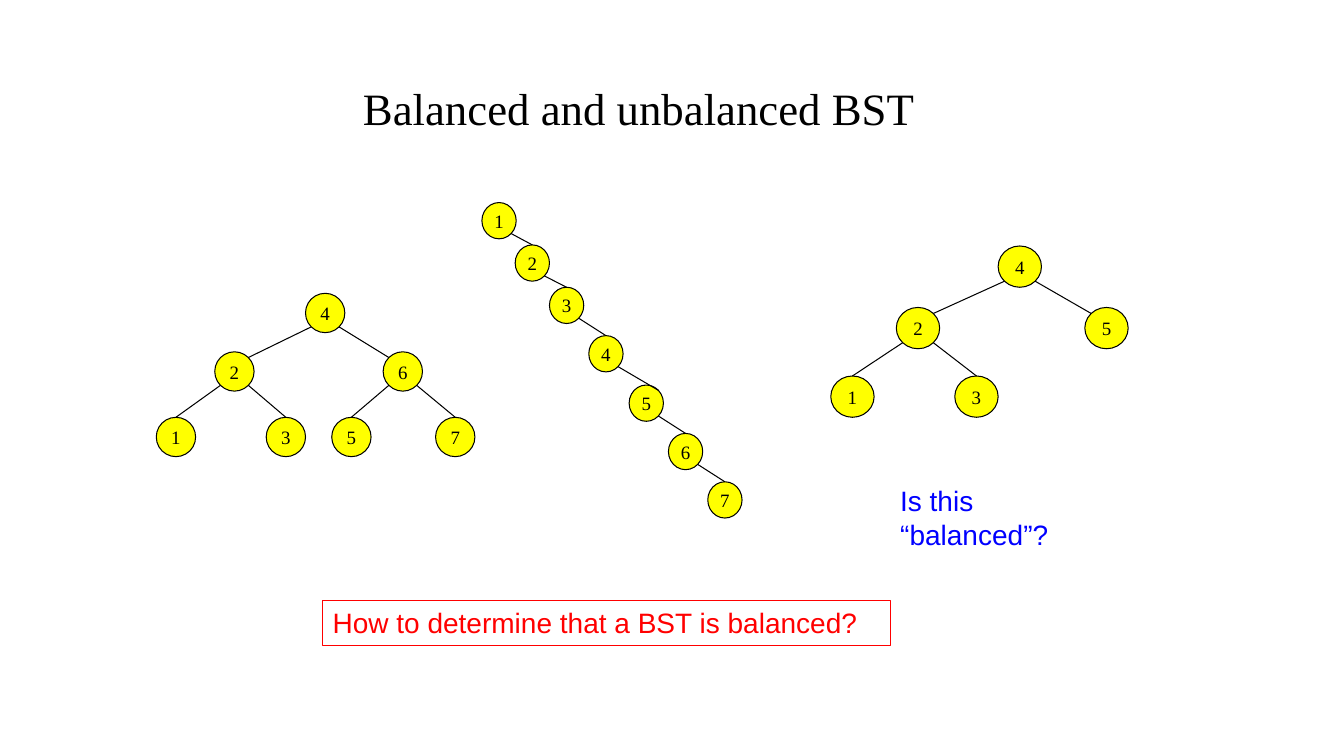
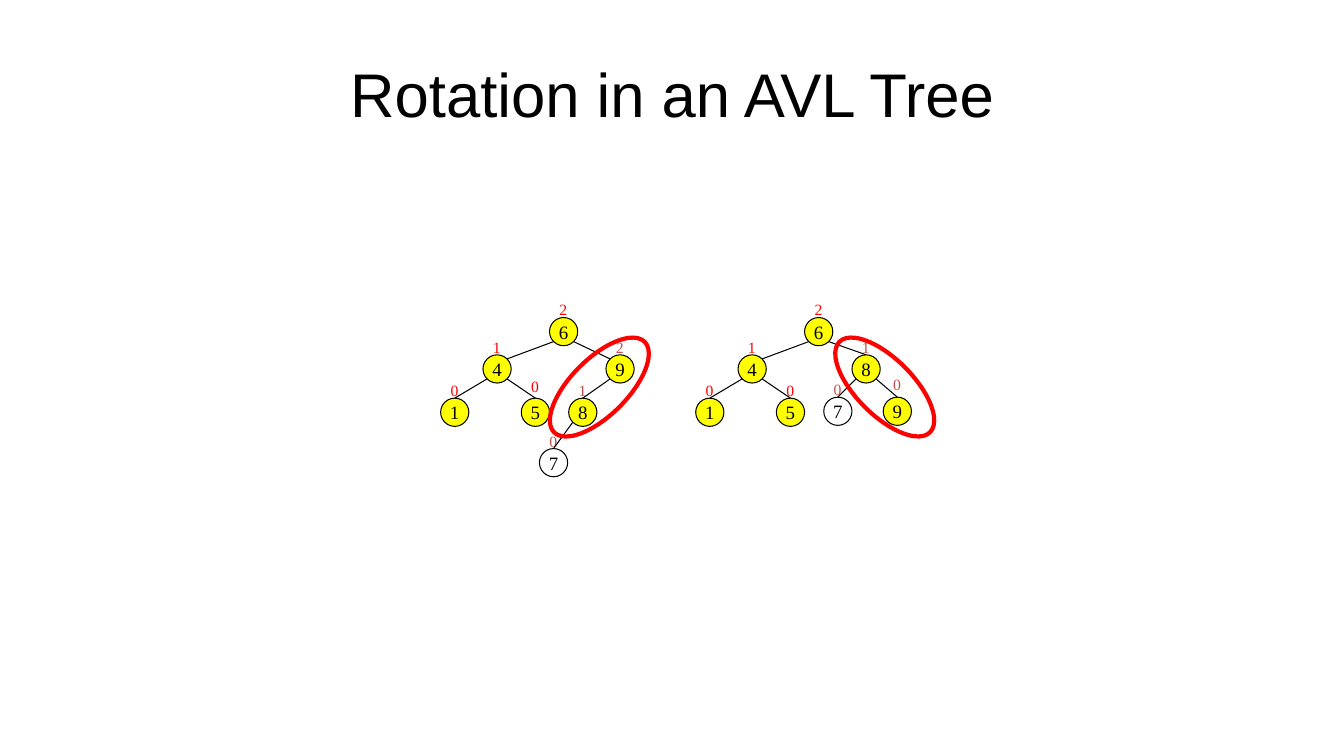
"""Build two slides on balanced binary search trees and AVL rotation."""
from dataclasses import dataclass

from pptx import Presentation
from pptx import util as u
from pptx.dml import color as dml
from pptx.enum import shapes as es
from pptx.enum import text as et
from pptx.oxml import ns, xmlchemy
from pptx.shapes import autoshape, shapetree
from pptx.slide import Slide

COLORS = {
    "black": "000000",
    "yellow": "FFFF00",
    "red": "FF0000",
    "brick": "C0504D",
    "blue": "0000FF",
}
SERIF, SANS = "Times New Roman", "Arial"
NEAR, FAR = 0.146, 0.854
EDGE_ENDS = {"top": (0.5, 0), "left": (NEAR, NEAR), "right": (FAR, NEAR)}


@dataclass(frozen=True)
class Node:
    value: str
    left: float
    top: float
    parent: str = ""
    edge_end: str = "top"
    height_label: str = ""
    label_color: str = "red"
    label_gap: float = 0.22
    fill: str = "yellow"


@dataclass(frozen=True)
class Tree:
    node_width: float
    node_height: float
    nodes: list[Node]


@dataclass(frozen=True)
class Ring:
    left: float
    rotation: float


@dataclass(frozen=True)
class TextStyle:
    size: float
    font: str
    color: str = "black"
    centered: bool = False
    middle: bool = False
    wrap: bool = True
    grow: bool = False


NODE_TEXT = TextStyle(13.5, SERIF, centered=True, middle=True, wrap=False)
QUESTION_SIZE = 20


def avl_base(left: float, right_leaf_gap: float) -> list[Node]:
    """Return the root and left subtree that both AVL trees share."""
    return [
        Node("6", left + 1.08, 3.15, height_label="2"),
        Node("4", left + 0.42, 3.52, "6", "right", "1"),
        Node("1", left, 3.95, "4", height_label="0"),
        Node("5", left + 0.8, 3.95, "4", height_label="0", label_gap=right_leaf_gap),
    ]


BST_TREES = [
    Tree(0.43, 0.41, [
        Node("4", 9.9, 2.44),
        Node("2", 8.89, 3.05, "4", "right"),
        Node("5", 10.76, 3.05, "4", "left"),
        Node("1", 8.24, 3.73, "2"),
        Node("3", 9.47, 3.73, "2"),
    ]),
    Tree(0.34, 0.36, [
        Node("1", 4.78, 2.01),
        Node("2", 5.11, 2.43, "1"),
        Node("3", 5.45, 2.85, "2"),
        Node("4", 5.84, 3.33, "3"),
        Node("5", 6.24, 3.82, "4", "right"),
        Node("6", 6.63, 4.3, "5"),
        Node("7", 7.02, 4.78, "6"),
    ]),
    Tree(0.39, 0.39, [
        Node("4", 3.03, 2.91),
        Node("2", 2.13, 3.49, "4", "right"),
        Node("6", 3.8, 3.49, "4", "left"),
        Node("1", 1.55, 4.14, "2"),
        Node("3", 2.64, 4.14, "2"),
        Node("5", 3.29, 4.14, "6"),
        Node("7", 4.32, 4.14, "6"),
    ]),
]
AVL_TREES = [
    Tree(0.28, 0.28, avl_base(4.37, 0.26) + [
        Node("9", 6.01, 3.52, "6", "left", "2", "brick"),
        Node("8", 5.64, 3.95, "9", "top", "1", "brick"),
        Node("7", 5.35, 4.45, "8", "top", "0", "brick", fill=""),
    ]),
    Tree(0.28, 0.28, avl_base(6.9, 0.22) + [
        Node("8", 8.45, 3.52, "6", "top", "1", "brick"),
        Node("9", 8.76, 3.94, "8", "top", "0", "brick", 0.27),
        Node("7", 8.17, 3.94, "8", "top", "0", "brick", fill=""),
    ]),
]
ROTATION_RINGS = [Ring(5.31, 315), Ring(8.14, 45)]


def rgb(name: str) -> dml.RGBColor:
    """Return a named palette colour."""
    return dml.RGBColor.from_string(COLORS[name])


def write(shape: autoshape.Shape, words: str, style: TextStyle) -> None:
    """Put one styled paragraph into a shape."""
    frame = shape.text_frame
    frame.word_wrap = style.wrap
    frame.auto_size = (
        et.MSO_AUTO_SIZE.SHAPE_TO_FIT_TEXT if style.grow else et.MSO_AUTO_SIZE.NONE
    )
    frame.vertical_anchor = et.MSO_ANCHOR.MIDDLE if style.middle else et.MSO_ANCHOR.TOP
    paragraph = frame.paragraphs[0]
    paragraph.text = words
    paragraph.alignment = et.PP_ALIGN.CENTER if style.centered else et.PP_ALIGN.LEFT
    paragraph.font.size = u.Pt(style.size)
    paragraph.font.name = style.font
    paragraph.font.color.rgb = rgb(style.color)


def add_text(
    shapes: shapetree._BaseGroupShapes, words: str,
    left: float, top: float, width: float, height: float, style: TextStyle,
) -> autoshape.Shape:
    """Add a text box holding one paragraph."""
    box = shapes.add_textbox(*map(u.Inches, (left, top, width, height)))
    write(box, words, style)
    return box


def add_outline(
    shapes: shapetree._BaseGroupShapes, kind: es.MSO_SHAPE,
    left: float, top: float, width: float, height: float,
    line: str, line_width: float = 0.75, fill: str = "",
) -> autoshape.Shape:
    """Add an outlined preset shape with an optional fill."""
    shape = shapes.add_shape(kind, *map(u.Inches, (left, top, width, height)))
    shape.shadow.inherit = False
    shape.line.color.rgb = rgb(line)
    shape.line.width = u.Pt(line_width)
    if fill:
        shape.fill.solid()
        shape.fill.fore_color.rgb = rgb(fill)
    else:
        shape.fill.background()
    return shape


def add_edge(
    shapes: shapetree._BaseGroupShapes, tree: Tree, parent: Node, child: Node
) -> None:
    """Join the lower rim of a parent to the upper rim of its child."""
    side = NEAR if child.left < parent.left else FAR
    end_x, end_y = EDGE_ENDS[child.edge_end]
    points = (
        parent.left + side * tree.node_width,
        parent.top + FAR * tree.node_height,
        child.left + end_x * tree.node_width,
        child.top + end_y * tree.node_height,
    )
    edge = shapes.add_connector(es.MSO_CONNECTOR.STRAIGHT, *map(u.Inches, points))
    edge.line.color.rgb = rgb("black")
    edge.line.width = u.Pt(0.75)
    edge._element.spPr.append(xmlchemy.OxmlElement("a:effectLst"))


def draw_tree(slide: Slide, tree: Tree) -> None:
    """Draw the height labels, nodes and edges of a tree as a group."""
    shapes = slide.shapes.add_group_shape().shapes
    by_value = {node.value: node for node in tree.nodes}
    for node in tree.nodes:
        if node.height_label:
            style = TextStyle(11.2, SERIF, node.label_color, wrap=False, grow=True)
            add_text(shapes, node.height_label, node.left,
                     node.top - node.label_gap, 0.28, 0.29, style)
    for node in tree.nodes:
        circle = add_outline(shapes, es.MSO_SHAPE.OVAL, node.left, node.top,
                             tree.node_width, tree.node_height, "black", fill=node.fill)
        write(circle, node.value, NODE_TEXT)
    for node in tree.nodes:
        if node.parent:
            add_edge(shapes, tree, by_value[node.parent], node)


def build_bst_slide(slide: Slide) -> None:
    """Compare balanced and unbalanced search trees."""
    for tree in BST_TREES:
        draw_tree(slide, tree)
    add_text(slide.shapes, "Is this “balanced”?", 8.83, 4.75, 2.3, 0.78,
             TextStyle(QUESTION_SIZE, SANS, "blue", grow=True))
    title = add_text(slide.shapes, "Balanced and unbalanced BST", 3.53, 0.38, 6.64, 1.45,
                     TextStyle(32, SERIF, middle=True))
    frame = title.text_frame
    frame.margin_left = frame.margin_right = u.Inches(0.07)
    frame.margin_top = frame.margin_bottom = u.Inches(0.04)
    frame.paragraphs[0].line_spacing = 0.9
    question = add_outline(slide.shapes, es.MSO_SHAPE.RECTANGLE,
                           3.2, 5.96, 5.63, 0.44, "red")
    write(question, "How to determine that a BST is balanced?",
          TextStyle(QUESTION_SIZE, SANS, "red", grow=True))


def build_rotation_slide(slide: Slide) -> None:
    """Show an AVL tree before and after a rotation."""
    add_text(slide.shapes, "Rotation in an AVL Tree", 0.67, 0.3, 12, 1.25,
             TextStyle(44, SANS, centered=True, middle=True))
    for tree in AVL_TREES:
        draw_tree(slide, tree)
    for ring in ROTATION_RINGS:
        oval = add_outline(slide.shapes, es.MSO_SHAPE.OVAL,
                           ring.left, 3.56, 1.27, 0.56, "red", 3)
        oval.rotation = ring.rotation


def main() -> None:
    """Create and save the presentation."""
    presentation = Presentation()
    presentation.slide_width = u.Inches(13.33)
    presentation.slide_height = u.Inches(7.5)
    blank = presentation.slide_layouts[6]
    for build in (build_bst_slide, build_rotation_slide):
        build(presentation.slides.add_slide(blank))
    presentation.save("out.pptx")


if __name__ == "__main__":
    main()
